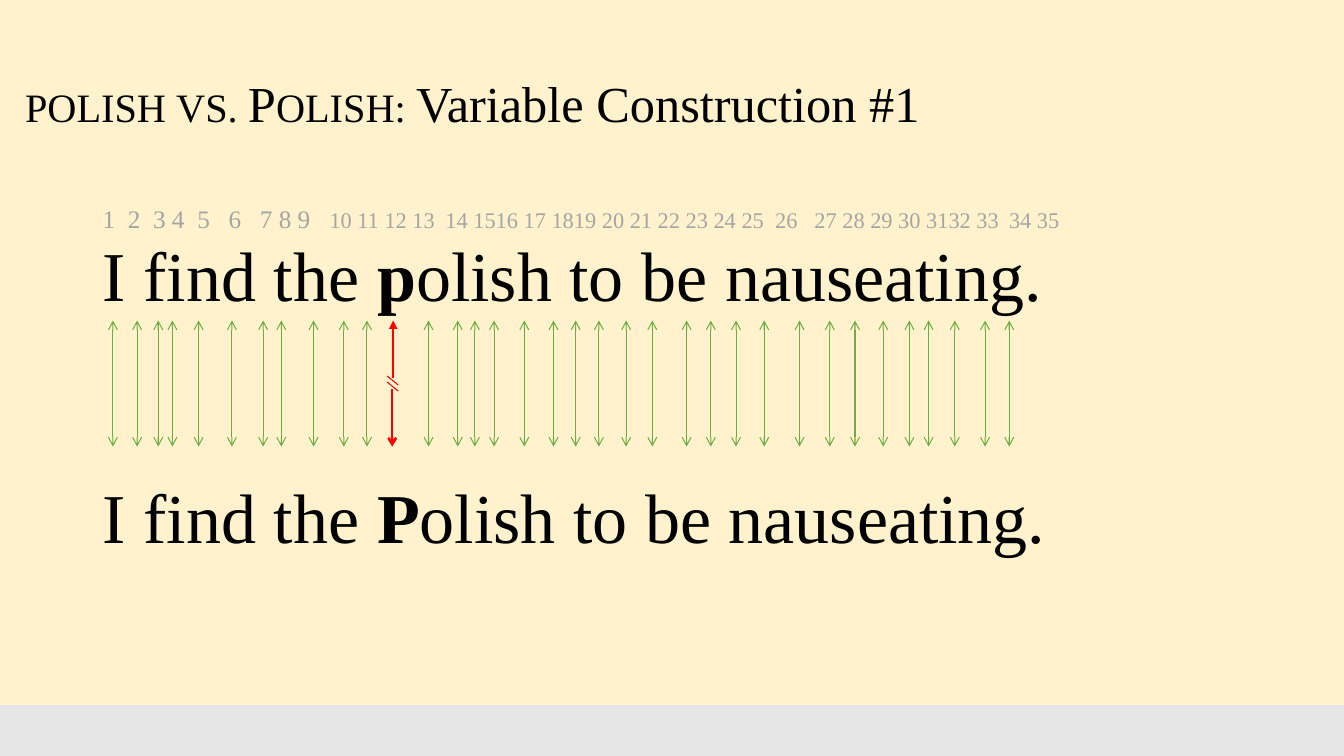
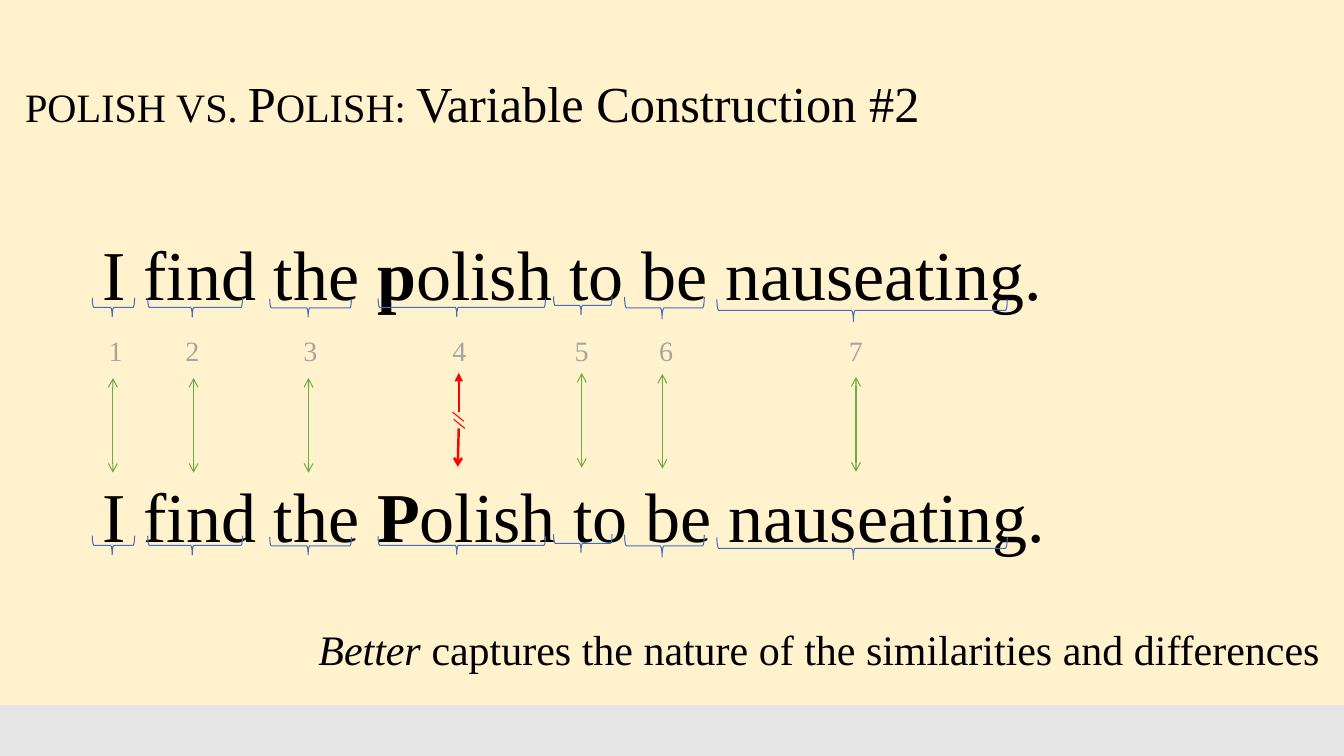
from lxml.etree import SubElement
from pptx import Presentation
from pptx.dml.color import RGBColor
from pptx.enum.shapes import MSO_CONNECTOR, MSO_SHAPE
from pptx.enum.text import MSO_ANCHOR
from pptx.oxml.ns import qn
from pptx.util import Inches, Pt

COLOURS = {
    "background": "FFF2CC",
    "band": "E7E6E6",
    "text": "000000",
    "number": "A5A5A5",
    "match": "6DAC43",
    "mismatch": "FF0000",
    "brace": "3F6FC3",
}
FONT = "Times New Roman"


def add_text(slide, box, paragraphs, anchor=MSO_ANCHOR.TOP, wrap=True):
    shape = slide.shapes.add_textbox(*map(Inches, box))
    frame = shape.text_frame
    frame.word_wrap = wrap
    frame.vertical_anchor = anchor
    for index, (runs, space_before, line_spacing, tabs) in enumerate(paragraphs):
        paragraph = frame.add_paragraph() if index else frame.paragraphs[0]
        paragraph.line_spacing = line_spacing
        if index:
            paragraph.space_before = Pt(space_before)
        if tabs:
            tab_list = SubElement(paragraph._p.get_or_add_pPr(), qn("a:tabLst"))
            for position in tabs:
                SubElement(tab_list, qn("a:tab"), pos=str(Inches(position)), algn="l")
        for text, size, colour, style in runs:
            run = paragraph.add_run()
            run.text = text
            run.font.name = FONT
            run.font.size = Pt(size)
            run.font.color.rgb = RGBColor.from_string(COLOURS[colour])
            run.font.bold = style == "bold"
            run.font.italic = style == "italic"
            if style == "small caps":
                run._r.get_or_add_rPr().set("cap", "small")


def add_line(slide, start, end, colour, width=0.75, head=None, tail=None):
    line = slide.shapes.add_connector(
        MSO_CONNECTOR.STRAIGHT, *map(Inches, (*start, *end)))
    line.line.color.rgb = RGBColor.from_string(COLOURS[colour])
    line.line.width = Pt(width)
    outline = line.line._get_or_add_ln()
    for tag, kind in (("a:headEnd", head), ("a:tailEnd", tail)):
        if kind:
            SubElement(outline, qn(tag), type=kind)
    SubElement(line._element.spPr, qn("a:effectLst"))


letter_numbers = [
    ("1\t2\t3 4\t5\t6\t7 8 9\t", 18, "number", None),
    ("10 11 12 13\t14 1516 17 1819 20 21 22 23 24 25\t26\t"
     "27 28 29 30 3132 33\t34 35", 16, "number", None),
]
letter_tabs = [0.25, 0.5, 0.94, 1.25, 1.56, 2.25, 3.4, 6.67, 7.06, 8.99]
sentences = [
    ([("I find the ", 50, "text", None),
      (initial, 50, "text", "bold"),
      ("olish to be nauseating.", 50, "text", None)], space_before, 0.9, None)
    for initial, space_before in (("p", 5), ("P", 119))
]

letter_arrows = [
    1.12, 1.36, 1.57, 1.71, 1.97, 2.3, 2.61, 2.79, 3.11, 3.41, 3.64, 4.25,
    4.54, 4.71, 4.9, 5.2, 5.49, 5.71, 5.94, 6.21, 6.47, 6.81, 7.05, 7.3,
    7.58, 7.93, 8.23, 8.48, 8.76, 9.02, 9.21, 9.47, 9.77, 10.01,
]
word_arrows = [
    (1.12, 3.75), (1.92, 3.75), (3.06, 3.75),
    (5.77, 3.7), (6.57, 3.71), (8.49, 3.74),
]
word_braces = [
    (1.03, 2.84, 0.19, 0.42), (1.84, 2.58, 0.19, 0.94),
    (2.99, 2.65, 0.18, 0.81), (4.49, 2.22, 0.18, 1.66),
    (5.69, 2.74, 0.18, 0.58), (6.48, 2.66, 0.22, 0.79),
    (8.44, 1.64, 0.22, 2.88),
]
sentence_gap = 2.36

constructions = [
    {
        "body": (0.92, 2, 11.97, 4.76),
        "paragraphs": [(letter_numbers, 0, 0.9, letter_tabs), *sentences],
        "arrows": [(x, 3.18) for x in letter_arrows],
        "arrow_length": 1.25,
        "upper": ((3.9, 3.18), (3.9, 3.75)),
        "lower": ((3.89, 3.86), (3.89, 4.43)),
        "slashes": [(3.84, 3.73), (3.84, 3.79)],
    },
    {
        "body": (0.92, 2.33, 11.97, 4.43),
        "paragraphs": sentences,
        "arrows": word_arrows,
        "arrow_length": 0.94,
        "upper": ((4.55, 3.7), (4.55, 4.09)),
        "lower": ((4.55, 4.25), (4.54, 4.63)),
        "slashes": [(4.49, 4.09), (4.5, 4.16)],
    },
]

presentation = Presentation()
presentation.slide_width = Inches(13.33)
presentation.slide_height = Inches(7.5)
background = presentation.slide_master.background.fill
background.solid()
background.fore_color.rgb = RGBColor.from_string(COLOURS["background"])

for number, construction in enumerate(constructions, 1):
    slide = presentation.slides.add_slide(presentation.slide_layouts[6])
    band = slide.shapes.add_shape(
        MSO_SHAPE.RECTANGLE, *map(Inches, (0, 7, 13.36, 0.5)))
    band.shadow.inherit = False
    band.fill.solid()
    band.fill.fore_color.rgb = RGBColor.from_string(COLOURS["band"])
    band.line.color.rgb = RGBColor.from_string(COLOURS["band"])
    band.line.width = Pt(1.5)

    add_text(slide, construction["body"], construction["paragraphs"])
    title = [("polish vs. Polish: ", 36, "text", "small caps"),
             (f"Variable Construction #{number}", 36, "text", None)]
    add_text(slide, (0.15, 0.33, 11.5, 1.45), [(title, 0, 0.9, None)],
             MSO_ANCHOR.MIDDLE)

    for x, y in construction["arrows"]:
        add_line(slide, (x, y), (x, y + construction["arrow_length"]),
                 "match", head="arrow", tail="arrow")
    add_line(slide, *construction["lower"], "mismatch", 1.75, tail="arrow")
    add_line(slide, *construction["upper"], "mismatch", 1.75, head="triangle")
    for x, y in construction["slashes"]:
        add_line(slide, (x, y), (x + 0.11, y + 0.09), "mismatch")

for offset in (0, sentence_gap):
    for left, top, width, height in word_braces:
        brace = slide.shapes.add_shape(
            MSO_SHAPE.RIGHT_BRACE,
            *map(Inches, (left, top + offset, width, height)))
        brace.rotation = 90
        brace.adjustments[0] = 0.08
        brace.adjustments[1] = 0.53
        brace.shadow.inherit = False
        brace.fill.background()
        brace.line.color.rgb = RGBColor.from_string(COLOURS["brace"])
        brace.line.width = Pt(0.75)

word_numbers = [("1\t2\t3\t4\t5\t6\t7", 20, "number", None)]
word_tabs = [0.76, 1.93, 3.41, 4.62, 5.46, 7.34]
add_text(slide, (0.98, 3.26, 9, 0.44), [(word_numbers, 0, 1.0, word_tabs)])

conclusion = [("Better", 30, "text", "italic"),
              (" captures the nature of the similarities and differences",
               30, "text", None)]
add_text(slide, (3.06, 6.14, 10.27, 0.61), [(conclusion, 0, 1.0, None)], wrap=False)

presentation.save("out.pptx")
